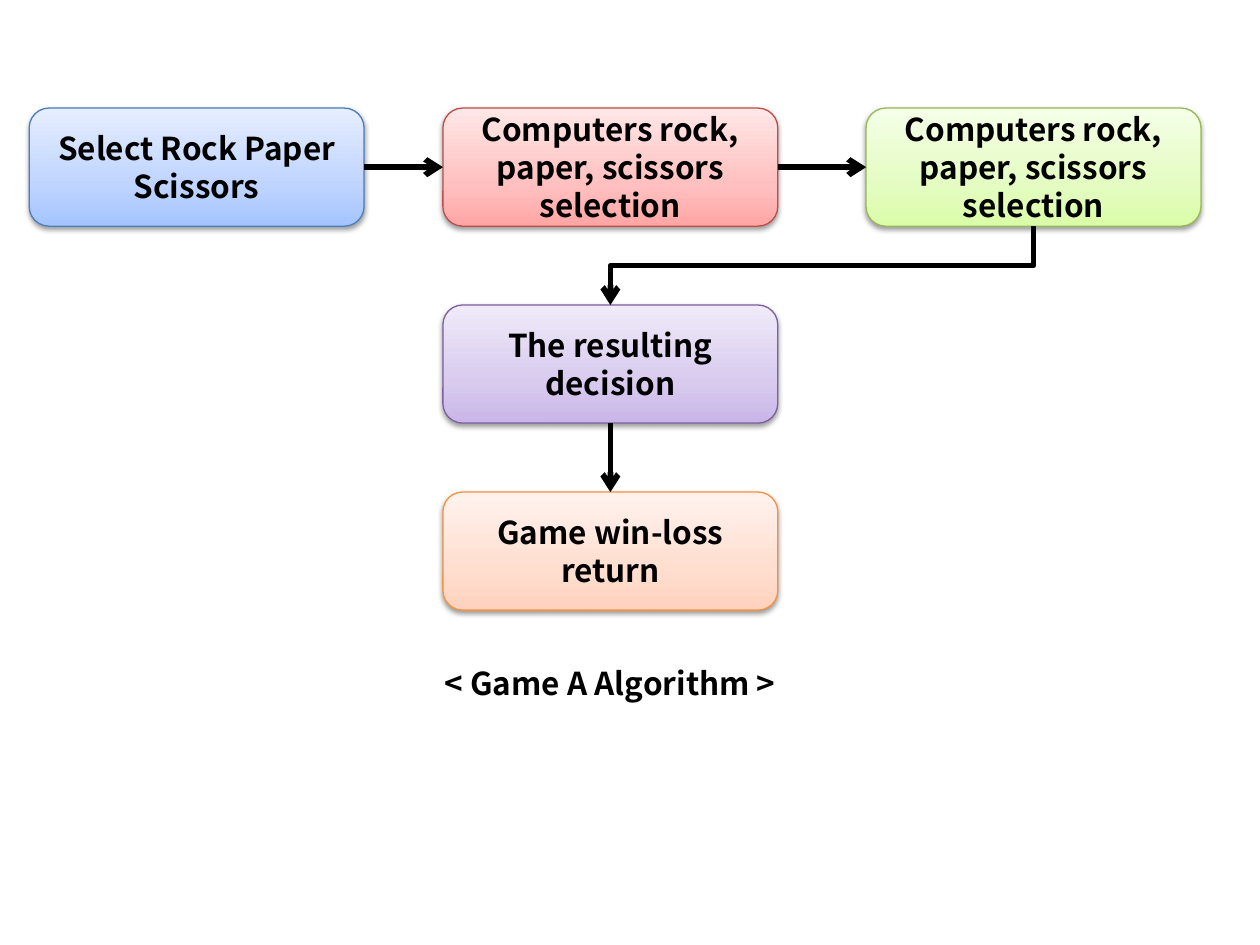
from copy import deepcopy

from lxml.etree import SubElement
from pptx import Presentation
from pptx.dml.color import RGBColor
from pptx.enum.shapes import MSO_CONNECTOR as Link, MSO_SHAPE as Preset
from pptx.enum.text import MSO_ANCHOR as Anchor, PP_ALIGN as Align
from pptx.oxml.ns import qn
from pptx.util import Cm, Pt

BLACK = RGBColor(0x00, 0x00, 0x00)
# Each palette: border, then gradient from bottom to top
BLUE, RED, GREEN, PURPLE, ORANGE = (
    [RGBColor.from_string(code) for code in codes.split()]
    for codes in (
        "4B7EBC A4C4FF BFD4FF E6EEFF",
        "BF4C48 FFA6A5 FFC0BF FFE7E7",
        "98B955 DAFDA7 E4FCC2 F5FFE7",
        "7D60A0 C9B5E8 D8CBEE F0EAF9",
        "F69240 FFD2BD FFDED0 FFF2ED",
    )
)
GRADIENT_POSITIONS = (0, 0.35, 1)
FONT_FORMAT = {"name": "Noto Sans CJK KR", "size": Pt(18), "bold": True}
SHADOW_FORMAT = {"blurRad": Pt(3.1), "dist": Pt(1.6), "dir": 90 * 60000,
                 "algn": "ctr", "rotWithShape": 0}

BOX_WIDTH, BOX_HEIGHT = Cm(6.75), Cm(2.38)
LEFT, CENTER, RIGHT = Cm(0.59), Cm(8.93), Cm(17.46)
FIRST_ROW, SECOND_ROW, THIRD_ROW = Cm(2.18), Cm(6.15), Cm(9.92)
TOP_SIDE, LEFT_SIDE, BOTTOM_SIDE, RIGHT_SIDE = range(4)

STEPS = [
    ("Select Rock Paper Scissors", LEFT, FIRST_ROW, BLUE),
    ("Computers rock, paper, scissors selection", CENTER, FIRST_ROW, RED),
    ("Computers rock, paper, scissors selection", RIGHT, FIRST_ROW, GREEN),
    ("The resulting decision", CENTER, SECOND_ROW, PURPLE),
    ("Game win-loss return", CENTER, THIRD_ROW, ORANGE),
]


def write_text(shape, text):
    shape.text_frame.word_wrap = True
    paragraph = shape.text_frame.paragraphs[0]
    paragraph.text = text
    paragraph.alignment = Align.CENTER
    font = paragraph.runs[0].font
    for name, value in FONT_FORMAT.items():
        setattr(font, name, value)
    font.color.rgb = BLACK


def fill_gradient(shape, colors):
    shape.fill.gradient()
    shape.fill.gradient_angle = 90
    stop_list = shape.element.spPr.find(".//" + qn("a:gsLst"))
    stop_list.append(deepcopy(stop_list[0]))
    for stop, position, color in zip(shape.fill.gradient_stops,
                                     GRADIENT_POSITIONS, colors):
        stop.position = position
        stop.color.rgb = color


def add_shadow(shape):
    shape.shadow.inherit = False
    effects = shape.element.spPr.find(qn("a:effectLst"))
    shadow = SubElement(effects, qn("a:outerShdw"))
    for name, value in SHADOW_FORMAT.items():
        shadow.set(name, str(value))
    color = SubElement(shadow, qn("a:srgbClr"), val=str(BLACK))
    SubElement(color, qn("a:alpha"), val="38000")


def add_step(slide, text, left, top, palette):
    shape = slide.shapes.add_shape(Preset.ROUNDED_RECTANGLE, left, top,
                                   BOX_WIDTH, BOX_HEIGHT)
    border, *gradient = palette
    fill_gradient(shape, gradient)
    shape.line.color.rgb = border
    shape.line.width = Pt(0.75)
    add_shadow(shape)
    shape.text_frame.vertical_anchor = Anchor.MIDDLE
    write_text(shape, text)
    return shape


def add_arrow(slide, kind, start, start_side, end, end_side):
    connector = slide.shapes.add_connector(kind, 0, 0, 0, 0)
    connector.begin_connect(start, start_side)
    connector.end_connect(end, end_side)
    connector.line.color.rgb = BLACK
    connector.line.width = Pt(3.25)
    properties = connector.element.spPr
    SubElement(properties.find(qn("a:ln")), qn("a:tailEnd"), type="arrow")
    SubElement(properties, qn("a:effectLst"))
    return connector


def turn_downward(connector):
    """Make an elbow that runs down and left leave and arrive vertically."""
    width, height = connector.width, connector.height
    shift = (width - height) // 2
    connector.left += shift
    connector.top -= shift
    connector.width, connector.height = height, width
    transform = connector.element.spPr.find(qn("a:xfrm"))
    transform.attrib.pop("flipH", None)
    transform.set("rot", str(90 * 60000))


def add_caption(slide, text):
    caption = slide.shapes.add_textbox(Cm(6.55), Cm(13.26), Cm(11.5), Cm(1.02))
    write_text(caption, text)


def main():
    presentation = Presentation()
    presentation.slide_width, presentation.slide_height = Cm(25.4), Cm(19.05)
    slide = presentation.slides.add_slide(presentation.slide_layouts[6])

    # Process steps
    choice, computer, comparison, decision, result = [
        add_step(slide, *step) for step in STEPS]

    # Flow between the steps
    add_arrow(slide, Link.STRAIGHT, choice, RIGHT_SIDE, computer, LEFT_SIDE)
    add_arrow(slide, Link.STRAIGHT, computer, RIGHT_SIDE, comparison, LEFT_SIDE)
    turn_downward(add_arrow(slide, Link.ELBOW, comparison, BOTTOM_SIDE,
                            decision, TOP_SIDE))
    add_arrow(slide, Link.STRAIGHT, decision, BOTTOM_SIDE, result, TOP_SIDE)

    # Caption
    add_caption(slide, "< Game A Algorithm >")
    presentation.save("out.pptx")


if __name__ == "__main__":
    main()
